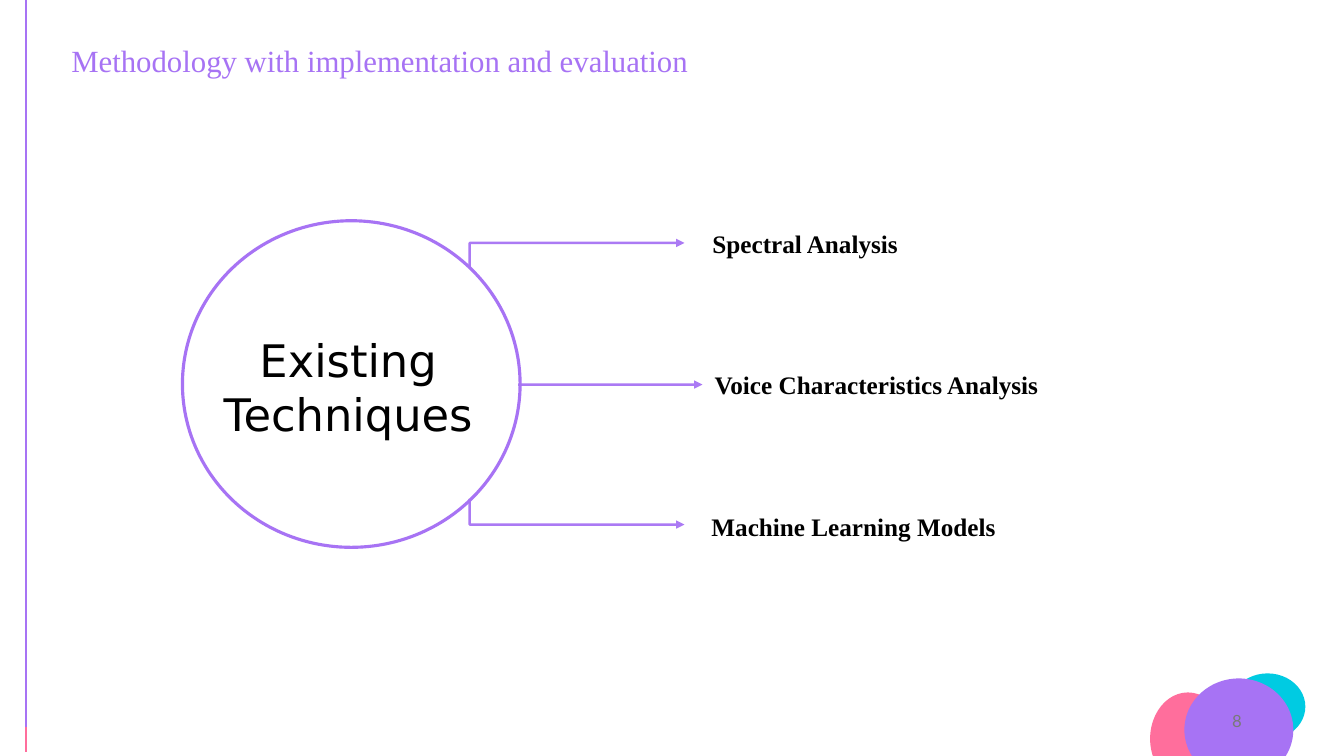
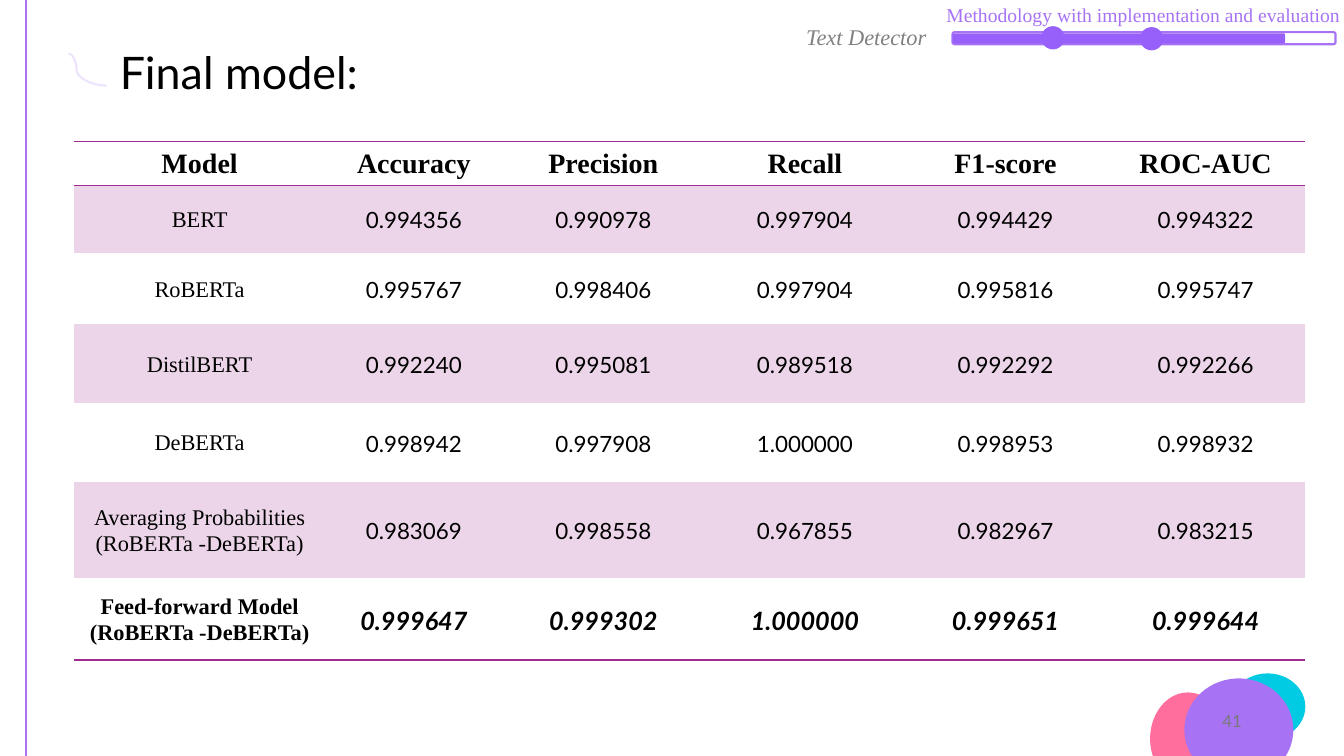
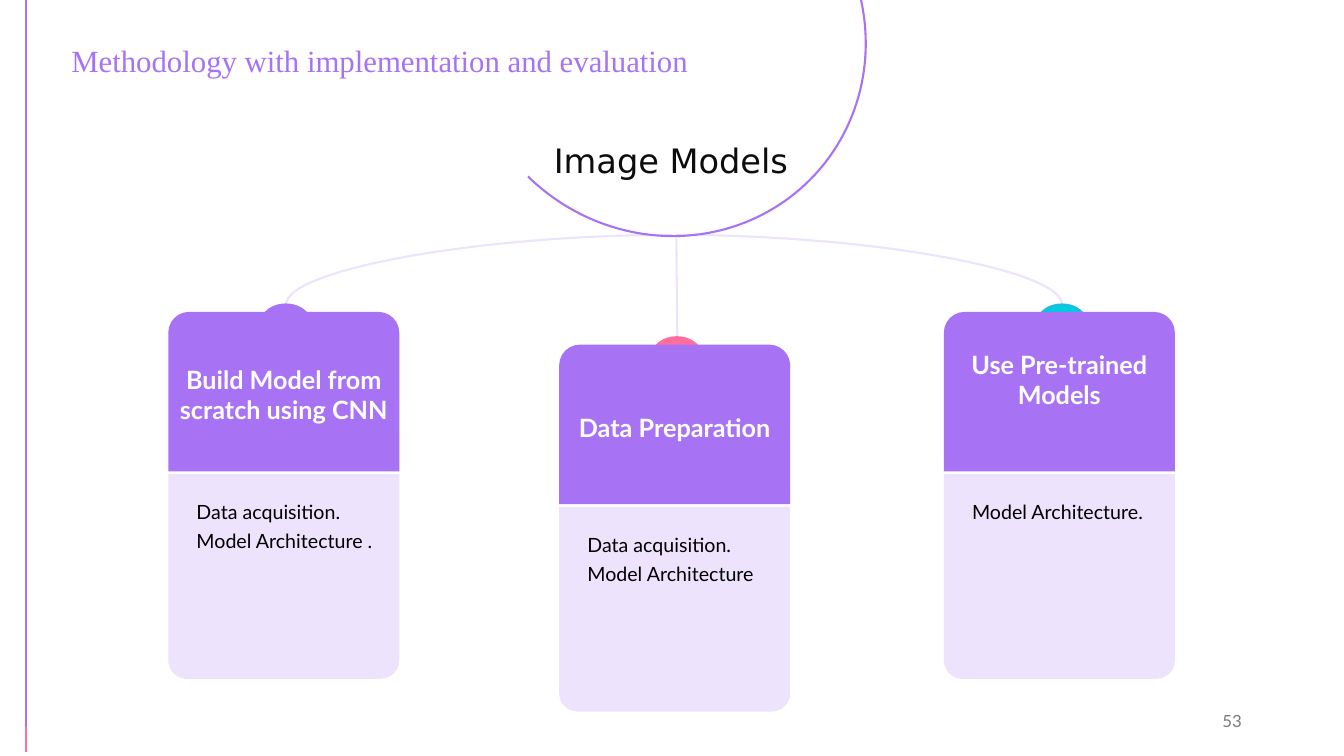
"""Build three methodology slides: techniques, final model scores and image models."""
from dataclasses import dataclass
from typing import Optional

from lxml.etree import SubElement
from pptx import Presentation
from pptx.dml.color import RGBColor
from pptx.enum.shapes import MSO_CONNECTOR as Link, MSO_SHAPE as Preset
from pptx.enum.text import MSO_ANCHOR as Anchor, PP_ALIGN as Align
from pptx.oxml import parse_xml
from pptx.oxml.ns import nsdecls, qn
from pptx.util import Pt


@dataclass(frozen=True)
class Theme:
    purple: str = "A773F4"
    violet: str = "9760FA"
    lilac: str = "EDE3FD"
    pink: str = "FF6E9C"
    cyan: str = "00CBE2"
    blue: str = "1ABDE5"
    rule: str = "A02B93"
    band: str = "ECD5E9"
    black: str = "000000"
    ink: str = "0D0D0D"
    grey: str = "808080"
    number: str = "797979"
    white: str = "FFFFFF"
    serif: str = "Times New Roman"
    sans: str = "Lato"
    display: str = "DejaVu Sans"
    huge: float = 32
    large: float = 24
    title: float = 22
    heading: float = 20
    label: float = 18
    body: float = 16
    small: float = 14
    tiny: float = 12


THEME = Theme()
SECTION = "Methodology with implementation and evaluation"
NO_GRID = "{2D5ABB26-0587-4C30-8999-92F81FD0307C}"


@dataclass(frozen=True)
class Box:
    x: float
    y: float
    w: float
    h: float

    def lengths(self) -> tuple:
        return Pt(self.x), Pt(self.y), Pt(self.w), Pt(self.h)


@dataclass(frozen=True)
class Style:
    size: float
    face: str = THEME.serif
    color: str = THEME.black
    bold: bool = False
    italic: bool = False
    align: Align = Align.LEFT
    spacing: Optional[object] = None


@dataclass(frozen=True)
class Blob:
    box: Box
    color: str


@dataclass(frozen=True)
class Technique:
    name: str
    x: float


@dataclass(frozen=True)
class Score:
    model: tuple
    values: tuple
    height: float


@dataclass(frozen=True)
class Card:
    heading: str
    steps: tuple
    x: float
    y: float
    dot_x: float
    dot_fill: str
    dot_line: str
    lift: float = 0


BLOBS = (
    Blob(Box(821.5, 494.6, 54, 66.2), THEME.pink),
    Blob(Box(878.4, 481, 54, 47.5), THEME.cyan),
    Blob(Box(846, 484.6, 77.8, 73.4), THEME.purple),
)
TECHNIQUES = (
    Technique("Spectral Analysis", 501.8),
    Technique("Voice Characteristics Analysis", 503.3),
    Technique("Machine Learning Models", 501.1),
)
HEADINGS = ("Model", "Accuracy", "Precision", "Recall", "F1-score", "ROC-AUC")
COLUMNS = (180, 126, 144.7, 143.3, 143.3, 142.6)
HEADING_HEIGHT = 31.7
SCORES = (
    Score(("BERT",), ("0.994356", "0.990978", "0.997904", "0.994429", "0.994322"), 48.2),
    Score(("RoBERTa",), ("0.995767", "0.998406", "0.997904", "0.995816", "0.995747"), 51.1),
    Score(("DistilBERT",), ("0.992240", "0.995081", "0.989518", "0.992292", "0.992266"), 56.2),
    Score(("DeBERTa",), ("0.998942", "0.997908", "1.000000", "0.998953", "0.998932"), 56.2),
    Score(("Averaging Probabilities", "(RoBERTa -DeBERTa)"),
          ("0.983069", "0.998558", "0.967855", "0.982967", "0.983215"), 69.1),
    Score(("Feed-forward Model (RoBERTa -DeBERTa)",),
          ("0.999647", "0.999302", "1.000000", "0.999651", "0.999644"), 58.3),
)
CARDS = (
    Card("Build Model from scratch using CNN", ("Data acquisition.", "Model Architecture ."),
         120.2, 222.8, 186.5, THEME.purple, THEME.purple),
    Card("Data Preparation", ("Data acquisition.", "Model Architecture"),
         399.4, 246.2, 465.8, THEME.pink, THEME.pink),
    Card("Use Pre-trained Models", ("Model Architecture.",),
         674.2, 222.8, 740.9, THEME.cyan, THEME.blue, lift=21.6),
)


def rgb(color: str) -> RGBColor:
    return RGBColor.from_string(color)


def write(frame, lines: tuple, style: Style) -> None:
    for index, line in enumerate(lines):
        paragraph = frame.paragraphs[0] if index == 0 else frame.add_paragraph()
        paragraph.text = line
        paragraph.alignment = style.align
        if style.spacing is not None:
            paragraph.line_spacing = style.spacing
        font = paragraph.font
        font.size, font.name = Pt(style.size), style.face
        font.bold, font.italic = style.bold, style.italic
        font.color.rgb = rgb(style.color)


def add_text(slide, box: Box, line: str, style: Style, anchor=Anchor.TOP, inset: float = 7.2) -> None:
    frame = slide.shapes.add_textbox(*box.lengths()).text_frame
    frame.word_wrap = True
    frame.vertical_anchor = anchor
    frame.margin_left = frame.margin_right = Pt(inset)
    write(frame, (line,), style)


def add_form(slide, preset, box: Box, fill: Optional[str] = None,
             line: Optional[str] = None, width: float = 1.5):
    form = slide.shapes.add_shape(preset, *box.lengths())
    form.shadow.inherit = False
    if fill:
        form.fill.solid()
        form.fill.fore_color.rgb = rgb(fill)
    else:
        form.fill.background()
    if line:
        form.line.color.rgb = rgb(line)
        form.line.width = Pt(width)
    else:
        form.line.fill.background()
    return form


def add_link(slide, start: tuple, end: tuple, color: str, width: float = 1.5,
             kind=Link.STRAIGHT, preset: Optional[str] = None, arrow: bool = False):
    link = slide.shapes.add_connector(kind, *map(Pt, start + end))
    link.line.color.rgb = rgb(color)
    link.line.width = Pt(width)
    properties = link._element.spPr
    if arrow:
        stroke = properties.find(qn("a:ln"))
        SubElement(stroke.find(".//" + qn("a:srgbClr")), qn("a:alpha"), val="95000")
        SubElement(stroke, qn("a:tailEnd"), type="triangle")
    SubElement(properties, qn("a:effectLst"))
    if preset:
        properties.find(qn("a:prstGeom")).set("prst", preset)
    return link


def add_elbow_arrow(slide, start: tuple, end: tuple) -> None:
    middle_x, middle_y = (start[0] + end[0]) / 2, (start[1] + end[1]) / 2
    rise, run = (start[1] - end[1]) / 2, (end[0] - start[0]) / 2
    elbow = add_link(slide, (middle_x - rise, middle_y - run), (middle_x + rise, middle_y + run),
                     THEME.purple, 1.75, Link.ELBOW, "bentConnector2", arrow=True)
    elbow._element.spPr.find(qn("a:xfrm")).set("rot", "16200000")


def add_rail(slide, bottom: float = 519) -> None:
    add_link(slide, (18.7, 0), (18.7, bottom), THEME.purple)
    if bottom < 540:
        add_link(slide, (18.7, bottom), (18.7, 537.1), THEME.pink)


def add_blobs(slide) -> None:
    for blob in BLOBS:
        add_form(slide, Preset.OVAL, blob.box, blob.color)


def add_number(slide, number: int) -> None:
    add_text(slide, Box(678.2, 500.4, 216, 28.8), str(number),
             Style(THEME.tiny, THEME.sans, THEME.number, align=Align.RIGHT), Anchor.MIDDLE)


def add_title(slide) -> None:
    add_text(slide, Box(43.9, 26.3, 649.4, 33.8), SECTION, Style(THEME.title, color=THEME.purple))


def build_techniques(slide) -> None:
    add_blobs(slide)
    add_number(slide, 8)
    add_title(slide)
    add_rail(slide)
    add_text(slide, Box(128.2, 234, 241.2, 85), "Existing Techniques",
             Style(THEME.huge, THEME.display, align=Align.CENTER))
    add_form(slide, Preset.OVAL, Box(130.3, 157.7, 241.2, 233.3), line=THEME.purple, width=2.25)
    add_elbow_arrow(slide, (335.5, 191.5), (488.9, 173.5))
    add_link(slide, (370.1, 274.7), (501.8, 274.7), THEME.purple, 1.75, arrow=True)
    add_elbow_arrow(slide, (335.5, 356.4), (488.9, 374.7))
    for index, technique in enumerate(TECHNIQUES):
        add_text(slide, Box(technique.x, 159.8 + index * 100.8, 400, 28.8), technique.name,
                 Style(THEME.label, bold=True))


def add_border(cell, side: str) -> None:
    cell._tc.get_or_add_tcPr().insert(0, parse_xml(
        f'<a:{side} {nsdecls("a")} w="12700"><a:solidFill><a:srgbClr val="{THEME.rule}"/>'
        f'</a:solidFill></a:{side}>'))


def fill_cell(cell, lines: tuple, style: Style, banded: bool, sides: tuple) -> None:
    cell.vertical_anchor = Anchor.MIDDLE
    cell.margin_left = cell.margin_right = Pt(5)
    cell.margin_top = cell.margin_bottom = Pt(0)
    if banded:
        cell.fill.solid()
        cell.fill.fore_color.rgb = rgb(THEME.band)
    else:
        cell.fill.background()
    for side in sides:
        add_border(cell, side)
    write(cell.text_frame, lines, style)


def add_scores(slide) -> None:
    heights = (HEADING_HEIGHT, *(score.height for score in SCORES))
    box = Box(52.6, 100.8, sum(COLUMNS), sum(heights))
    table = slide.shapes.add_table(len(heights), len(COLUMNS), *box.lengths()).table
    table.first_row = table.horz_banding = False
    table._tbl.tblPr.find(qn("a:tableStyleId")).text = NO_GRID
    for column, width in zip(table.columns, COLUMNS):
        column.width = Pt(width)
    for row, height in zip(table.rows, heights):
        row.height = Pt(height)
    centred = {"align": Align.CENTER, "spacing": 1.07}
    for cell, heading in zip(table.rows[0].cells, HEADINGS):
        fill_cell(cell, (heading,), Style(THEME.heading, bold=True, **centred), False, ("lnB", "lnT"))
    for index, score in enumerate(SCORES):
        best = index == len(SCORES) - 1
        sides = ("lnB",) if best else ()
        model_style = Style(THEME.body, bold=best, **centred)
        value_style = Style(THEME.label if best else THEME.body, THEME.sans,
                            bold=best, italic=best, **centred)
        model, *values = table.rows[index + 1].cells
        fill_cell(model, score.model, model_style, index % 2 == 0, sides)
        for cell, value in zip(values, score.values):
            fill_cell(cell, (value,), value_style, index % 2 == 0, sides)


def build_final_model(slide) -> None:
    add_blobs(slide)
    add_rail(slide, 540)
    flourish = add_link(slide, (76.3, 61.2), (49, 38.2), THEME.lilac, kind=Link.CURVE)
    guides = flourish._element.spPr.find(qn("a:prstGeom")).get_or_add_avLst()
    SubElement(guides, qn("a:gd"), name="adj1", fmla="val 79300")
    add_number(slide, 41)
    add_text(slide, Box(568.8, 13, 126.7, 28), "Text Detector",
             Style(THEME.body, color=THEME.grey, italic=True))
    add_text(slide, Box(676, -1.4, 284, 24.5), SECTION,
             Style(THEME.small, color=THEME.purple), inset=0)
    add_text(slide, Box(78.5, 28.1, 208.8, 46.1), "Final model:", Style(THEME.huge, THEME.sans))
    add_form(slide, Preset.ROUNDED_RECTANGLE, Box(680.4, 23, 273.6, 8.6), line=THEME.purple)
    add_form(slide, Preset.ROUNDED_RECTANGLE, Box(680.4, 23.8, 237.6, 7.2), THEME.violet)
    for x, y in ((743.8, 18.7), (814.3, 19.4)):
        add_form(slide, Preset.OVAL, Box(x, y, 16.6, 16.6), THEME.violet)
    add_scores(slide)


def add_panel(slide, box: Box, color: str, corners: tuple, margins: tuple,
              lines: tuple, style: Style, anchor) -> None:
    panel = add_form(slide, Preset.ROUND_2_SAME_RECTANGLE, box, color)
    panel.adjustments[0], panel.adjustments[1] = corners
    frame = panel.text_frame
    frame.word_wrap = True
    frame.vertical_anchor = anchor
    frame.margin_left, frame.margin_top, frame.margin_right, frame.margin_bottom = map(Pt, margins)
    write(frame, lines, style)


def add_card(slide, card: Card) -> None:
    add_form(slide, Preset.OVAL, Box(card.dot_x, card.y - 5.3, 35.3, 27.4), card.dot_fill, card.dot_line)
    add_panel(slide, Box(card.x, card.y, 165, 113.8), THEME.purple, (0.13, 0),
              (3, 3, 3, 3.6 + card.lift), (card.heading,),
              Style(THEME.label, THEME.sans, THEME.white, bold=True, align=Align.CENTER), Anchor.MIDDLE)
    add_panel(slide, Box(card.x, card.y + 115.9, 165, 146.2), THEME.lilac, (0, 0.09),
              (16.3, 14.4, 3.4, 3.6), card.steps,
              Style(THEME.small, THEME.sans, spacing=Pt(20.8)), Anchor.TOP)


def build_image_models(slide) -> None:
    add_link(slide, (483.1, 169.9), (483.8, 241.2), THEME.lilac)
    for start_x, end_x in ((483.1, 758.5), (480.2, 204.5)):
        add_link(slide, (start_x, 167.8), (end_x, 217.4), THEME.lilac,
                 kind=Link.CURVE, preset="curvedConnector2")
    add_number(slide, 53)
    add_title(slide)
    add_rail(slide)
    arc = add_form(slide, Preset.ARC, Box(334.8, -120.2, 280.8, 291.6), line=THEME.purple)
    arc.adjustments[0], arc.adjustments[1] = 128.17, 0
    arc.rotation = 134.3
    add_text(slide, Box(375.1, 96.5, 216, 36), "Image Models ",
             Style(THEME.large, THEME.display, THEME.ink, align=Align.CENTER))
    for card in CARDS:
        add_card(slide, card)


def main() -> None:
    deck = Presentation()
    deck.slide_width, deck.slide_height = Pt(960), Pt(540)
    for build in (build_techniques, build_final_model, build_image_models):
        build(deck.slides.add_slide(deck.slide_layouts[6]))
    deck.save("out.pptx")


if __name__ == "__main__":
    main()
